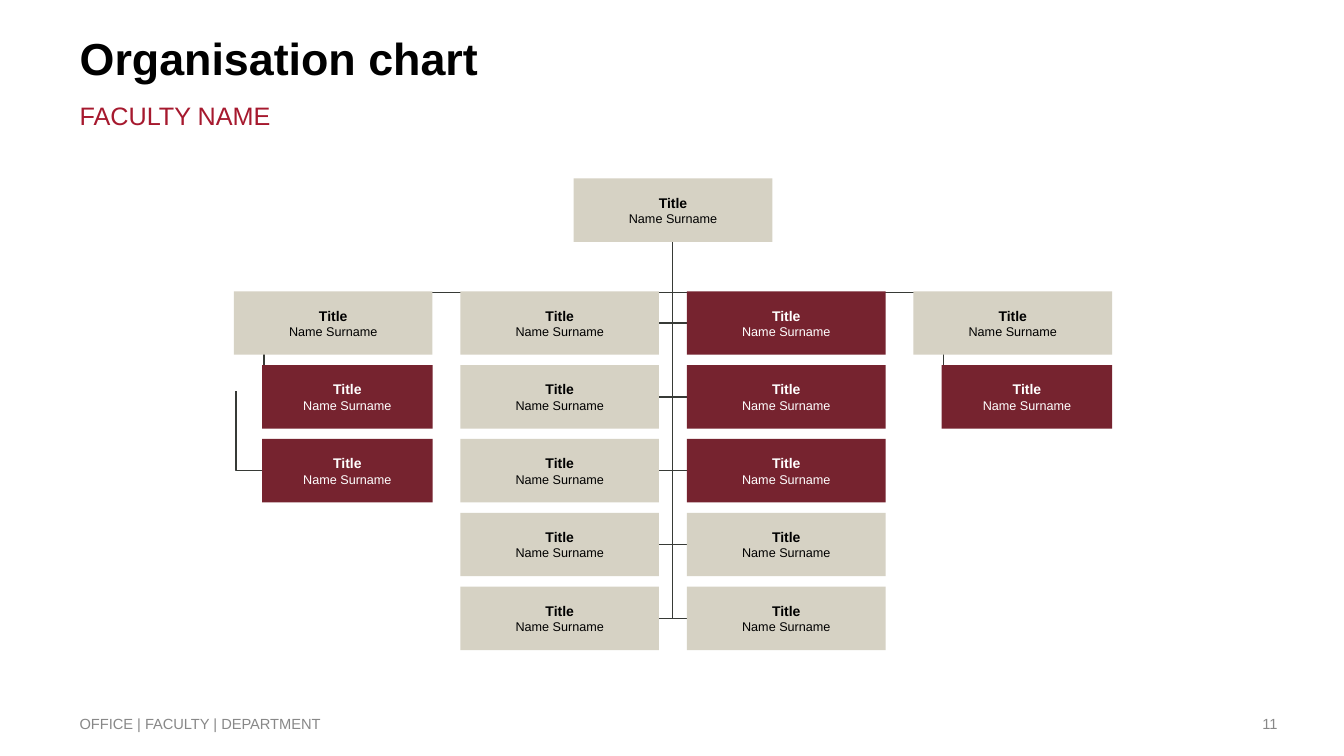
from lxml import etree
from pptx import Presentation
from pptx.dml.color import RGBColor
from pptx.enum import shapes, text
from pptx.oxml import ns
from pptx.util import Inches, Pt

BLACK = RGBColor(0x00, 0x00, 0x00)
WHITE = RGBColor(0xFF, 0xFF, 0xFF)
GREY = RGBColor(0x88, 0x88, 0x88)
RED = RGBColor(0xA6, 0x19, 0x2E)
MAROON = RGBColor(0x76, 0x23, 0x2F)
STONE = RGBColor(0xD6, 0xD2, 0xC4)
CHARCOAL = RGBColor(0x37, 0x3A, 0x36)
FONT = "Arial"

LEFT, TOP, MIDDLE = text.PP_ALIGN.LEFT, text.MSO_ANCHOR.TOP, text.MSO_ANCHOR.MIDDLE
RIGHT, CENTER = text.PP_ALIGN.RIGHT, text.PP_ALIGN.CENTER

# (words, (left, top, width, height), size, bold, colour, alignment, anchor)
LABELS = [
    ("Organisation chart", (0.79, 0.3, 9.25, 0.71), 32, True, BLACK, LEFT, TOP),
    ("FACULTY NAME", (0.79, 0.99, 9.34, 0.52), 18, False, RED, LEFT, TOP),
    ("OFFICE | FACULTY | DEPARTMENT", (0.79, 6.98, 5.8, 0.4), 10.5, False, GREY, LEFT, MIDDLE),
    ("11", (9.56, 6.98, 3.11, 0.4), 10.5, False, GREY, RIGHT, MIDDLE),
]

HEAD = ("Title", "Name Surname", STONE)
MEMBER = ("Title", "Name Surname", STONE)
MARKED = ("Title", "Name Surname", MAROON)
# (column of boxes, whether the boxes below the first are indented)
COLUMNS = [
    ([MEMBER, MARKED, MARKED], True),
    ([MEMBER] * 5, False),
    ([MARKED, MARKED, MARKED, MEMBER, MEMBER], False),
    ([MEMBER, MARKED], True),
]

BOX_W, BOX_H, INDENT = 1.97, 0.63, 0.28
CHART_LEFT, CHART_TOP = 2.32, 2.89
COLUMN_STEP = (9.06 - CHART_LEFT) / 3
ROW_STEP = (5.82 - CHART_TOP) / 4
HEAD_LEFT, HEAD_TOP = 5.69, 1.77
SPINE_X = 6.67
RUNG_REACH = 0.25


def add_run(paragraph, words, size, bold, colour):
    run = paragraph.add_run()
    run.text = words
    run.font.name = FONT
    run.font.size = Pt(size)
    run.font.bold = bold
    run.font.color.rgb = colour


def prepare_frame(shape, anchor, inset):
    frame = shape.text_frame
    frame.word_wrap = True
    frame.vertical_anchor = anchor
    frame.margin_left = frame.margin_right = Inches(inset)
    frame.margin_top = frame.margin_bottom = Inches(inset)
    return frame


def add_label(slide, words, place, size, bold, colour, alignment, anchor):
    shape = slide.shapes.add_textbox(*map(Inches, place))
    paragraph = prepare_frame(shape, anchor, 0).paragraphs[0]
    paragraph.alignment = alignment
    add_run(paragraph, words, size, bold, colour)


def add_box(slide, left, top, width, post):
    title, name, fill = post
    shape = slide.shapes.add_shape(
        shapes.MSO_SHAPE.RECTANGLE, *map(Inches, (left, top, width, BOX_H)))
    shape.shadow.inherit = False
    shape.fill.solid()
    shape.fill.fore_color.rgb = fill
    shape.line.fill.background()
    colour = WHITE if fill == MAROON else BLACK
    frame = prepare_frame(shape, MIDDLE, 0.01)
    lines = (frame.paragraphs[0], title, 10, True), (frame.add_paragraph(), name, 9, False)
    for paragraph, words, size, bold in lines:
        paragraph.alignment = CENTER
        add_run(paragraph, words, size, bold, colour)


def add_line(slide, x1, y1, x2, y2, bend=None):
    """Draw a straight line, or an elbow that turns at bend (0 start, 1 end) of its width."""
    kind = shapes.MSO_CONNECTOR.STRAIGHT if bend is None else shapes.MSO_CONNECTOR.ELBOW
    line = slide.shapes.add_connector(kind, *map(Inches, (x1, y1, x2, y2)))
    line.line.color.rgb = CHARCOAL
    line.line.width = Pt(1)
    properties = line._element.spPr
    etree.SubElement(properties, ns.qn("a:effectLst"))
    if bend is not None:
        adjustments = properties.find(".//" + ns.qn("a:avLst"))
        etree.SubElement(adjustments, ns.qn("a:gd"), name="adj1", fmla=f"val {bend * 100000}")


def add_lines(slide):
    row_centres = [CHART_TOP + row * ROW_STEP + BOX_H / 2 for row in range(5)]
    for y in row_centres:
        add_line(slide, SPINE_X - RUNG_REACH, y, SPINE_X + RUNG_REACH, y)
    add_line(slide, 3.32, 2.91, 10.05, 2.9, bend=0)
    for column in (0, 3):
        x = CHART_LEFT + column * COLUMN_STEP + 0.02
        add_line(slide, x, row_centres[0], x + INDENT, row_centres[1], bend=1)
    x = CHART_LEFT + 0.02
    add_line(slide, x, 3.88, x + INDENT, row_centres[2], bend=0)
    add_line(slide, SPINE_X, 2.21, SPINE_X, row_centres[-1])


def add_boxes(slide):
    add_box(slide, HEAD_LEFT, HEAD_TOP, BOX_W, HEAD)
    for column, (posts, indented) in enumerate(COLUMNS):
        for row, post in enumerate(posts):
            shift = INDENT if indented and row else 0
            add_box(slide, CHART_LEFT + column * COLUMN_STEP + shift,
                    CHART_TOP + row * ROW_STEP, BOX_W - shift, post)


def main():
    presentation = Presentation()
    presentation.slide_width = Inches(13.33)
    presentation.slide_height = Inches(7.5)
    slide = presentation.slides.add_slide(presentation.slide_layouts[6])
    for label in LABELS:
        add_label(slide, *label)
    add_lines(slide)
    add_boxes(slide)
    presentation.save("out.pptx")


if __name__ == "__main__":
    main()
